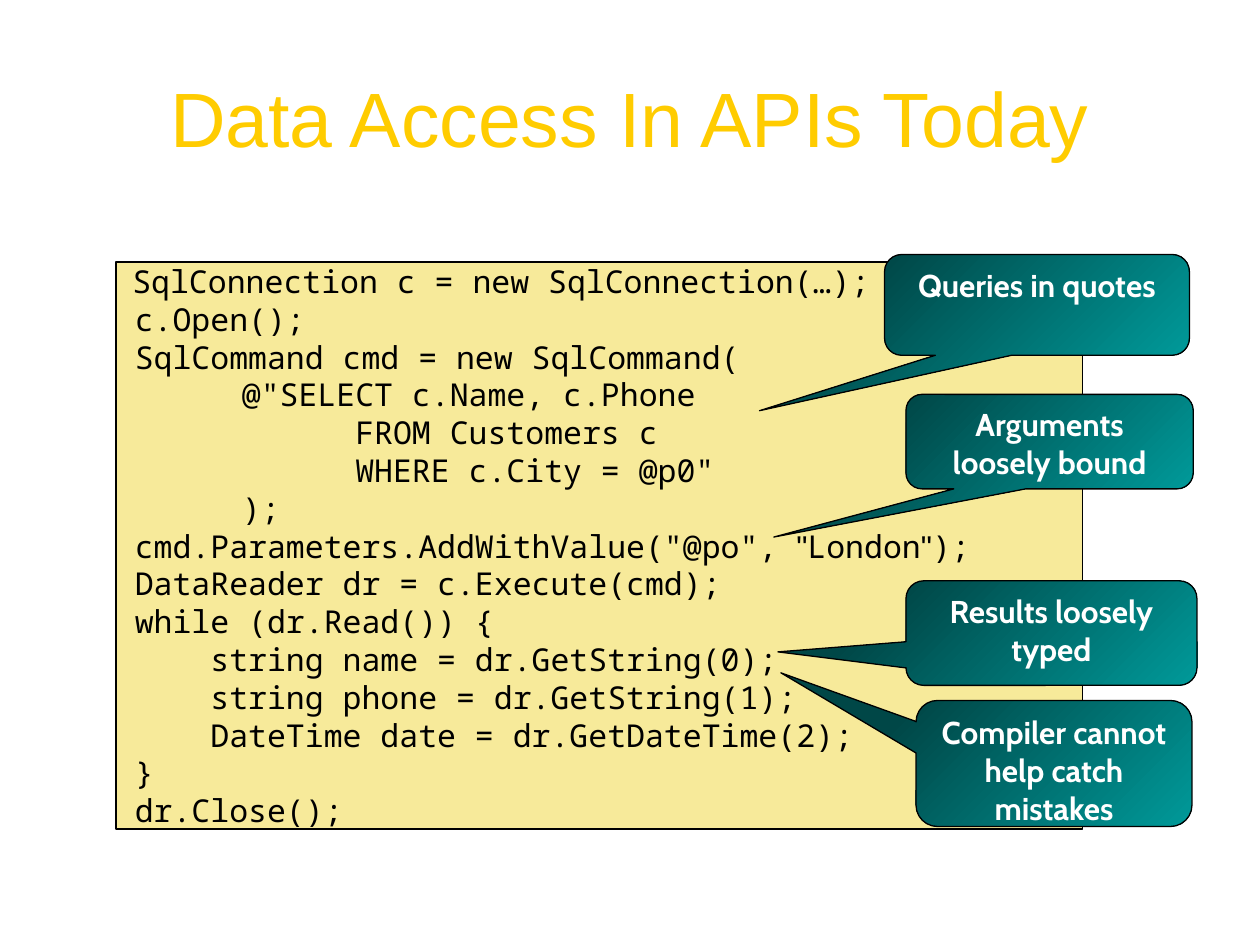
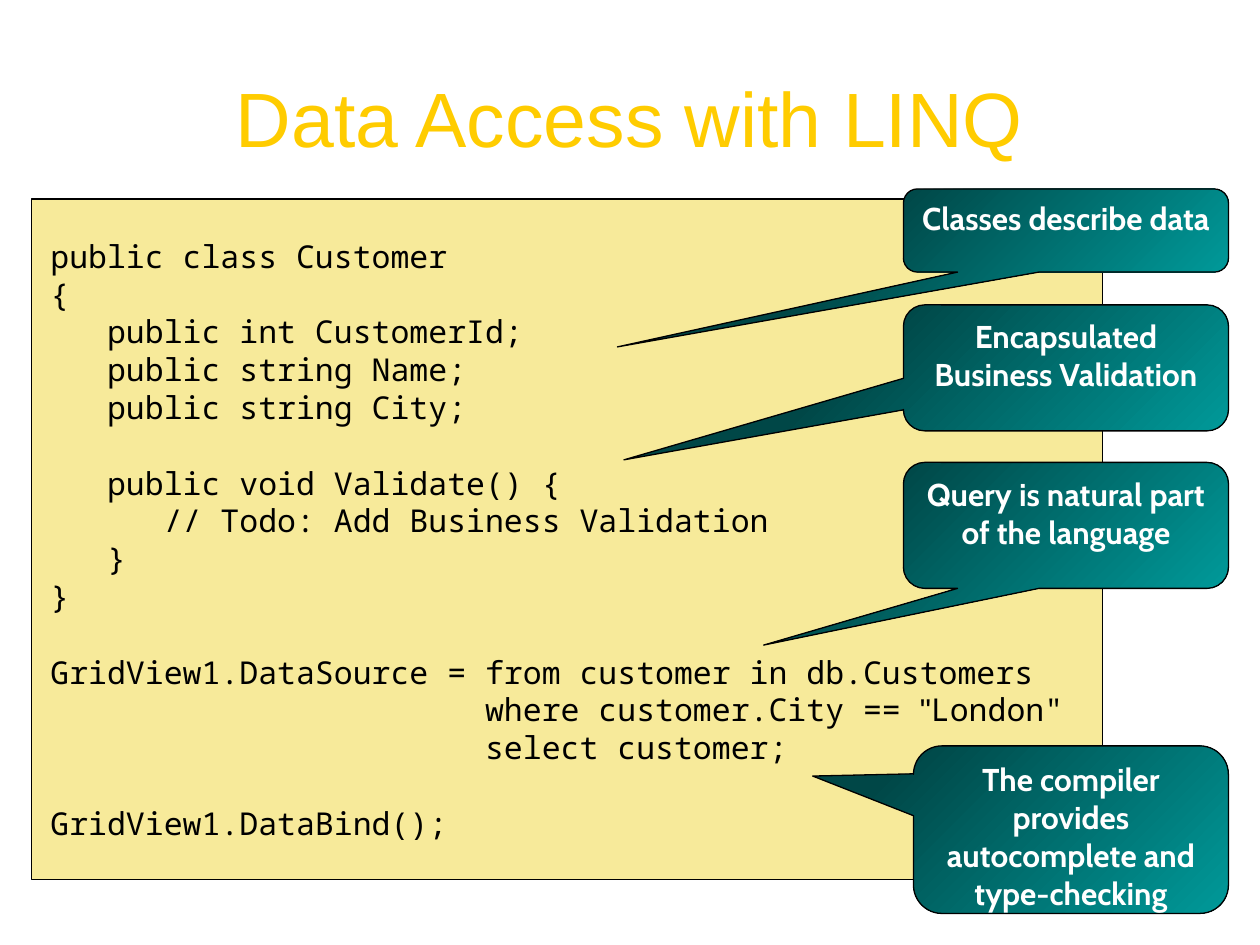
from lxml.etree import SubElement
from pptx import Presentation
from pptx.dml.color import RGBColor
from pptx.enum.shapes import MSO_SHAPE
from pptx.enum.text import MSO_ANCHOR, PP_ALIGN
from pptx.oxml.ns import qn
from pptx.util import Inches, Pt

GOLD = RGBColor(0xFF, 0xCC, 0x00)
CREAM = RGBColor(0xF7, 0xE9, 0x93)
DEEP = RGBColor(0x00, 0x47, 0x47)
TEAL = RGBColor(0x00, 0x99, 0x99)
BLACK = RGBColor(0, 0, 0)
WHITE = RGBColor(0xFF, 0xFF, 0xFF)

CODE, QUOTE, NOTE = "Noto Sans Mono", "Arial", "Cabin"
SIZE = 18
COL = 0.15
ROW = 0.3
TAB = 1 / COL

SLIDES = [
    dict(
        title="Data Access In APIs Today",
        panel=(0.92, 2.08, 7.67, 4.5),
        code=[
            (0, 0.87, "SqlConnection c = new SqlConnection(…);"),
            (0, 1, "c.Open();"),
            (0, 1, "SqlCommand cmd = new SqlCommand("),
            (0, TAB, '@"SELECT c.Name, c.Phone'),
            (0, TAB + 6, "FROM Customers c"),
            (0, TAB + 6, 'WHERE c.City = @p0"'),
            (0, TAB, ");"),
            (0, 1, 'cmd.Parameters.AddWithValue("@po", |"|London|"|);'),
            (0, 1, "DataReader dr = c.Execute(cmd);"),
            (0, 1, "while (dr.Read()) {"),
            (0, 5, "string name = dr.GetString(0);"),
            (0, 5, "string phone = dr.GetString(1);"),
            (0, 5, "DateTime date = dr.GetDateTime(2);"),
            (0, 1, "}"),
            (0, 1, "dr.Close();"),
        ],
        notes=[
            ("Queries in quotes", (7.02, 2.02, 2.42, 0.8), (-0.91, 1.05)),
            ("Arguments loosely bound", (7.19, 3.13, 2.28, 0.75), (-0.96, 1.01)),
            ("Results loosely typed", (7.19, 4.61, 2.31, 0.83), (-0.94, 0.18)),
            ("Compiler cannot help catch mistakes", (7.27, 5.56, 2.19, 1), (-0.99, -0.72)),
        ],
    ),
    dict(
        title="Data Access with LINQ",
        panel=(0.25, 1.58, 8.5, 5.4),
        code=[
            (1, 1, "public class Customer"),
            (0, 1, "{"),
            (0, 4, "public int CustomerId;"),
            (0, 4, "public string Name;"),
            (0, 4, "public string City;"),
            (1, 4, "public void Validate() {"),
            (0, 7, "// Todo: Add Business Validation"),
            (0, 4, "}"),
            (0, 1, "}"),
            (1, 1, "GridView1.DataSource = from customer in db.Customers"),
            (0, 24, 'where customer.City == |"|London"'),
            (0, 24, "select customer;"),
            (1, 1, "GridView1.DataBind();"),
        ],
        notes=[
            ("Classes describe data", (7.17, 1.5, 2.58, 0.66), (-1.38, 1.4)),
            ("Encapsulated Business Validation", (7.17, 2.42, 2.58, 1), (-1.36, 0.73)),
            ("Query is natural part of the language", (7.17, 3.67, 2.58, 1), (-0.93, 0.95)),
            ("The compiler provides autocomplete and type-checking", (7.25, 5.92, 2.5, 1.33), (-0.82, -0.32)),
        ],
    ),
]


def style(run, font, color, size=SIZE, bold=False):
    run.font.name, run.font.size, run.font.bold = font, Pt(size), bold
    run.font.color.rgb = color


def add_box(slide, kind, area):
    box = slide.shapes.add_shape(kind, *map(Inches, area))
    box.shadow.inherit = False
    box.line.color.rgb = BLACK
    box.line.width = Pt(0.75)
    box.text_frame.word_wrap = True
    box.text_frame.vertical_anchor = MSO_ANCHOR.TOP
    return box


def add_title(slide, text):
    frame = slide.shapes.add_textbox(*map(Inches, (0.5, 0.3, 9, 1.25))).text_frame
    frame.word_wrap = True
    frame.vertical_anchor = MSO_ANCHOR.MIDDLE
    frame.text = text
    para = frame.paragraphs[0]
    para.alignment = PP_ALIGN.CENTER
    run = para.runs[0]
    style(run, "Arial", GOLD, 44)
    glow = run.font.fill._xPr
    effect = glow.makeelement(qn("a:effectLst"))
    glow.find(qn("a:solidFill")).addnext(effect)
    shade = SubElement(effect, qn("a:outerShdw"), dist="38100", dir="2700000", algn="tl")
    SubElement(shade, qn("a:srgbClr"), val="000000")


def add_code(slide, area, lines):
    box = add_box(slide, MSO_SHAPE.RECTANGLE, area)
    box.fill.solid()
    box.fill.fore_color.rgb = CREAM
    color = box._element.spPr.find(qn("a:solidFill"))[0]
    SubElement(color, qn("a:alpha"), val="93000")
    frame = box.text_frame
    frame.margin_left = frame.margin_right = frame.margin_bottom = 0
    frame.margin_top = Inches(lines[0][0] * ROW)
    for i, (skip, indent, text) in enumerate(lines):
        para = frame.add_paragraph() if i else frame.paragraphs[0]
        para.alignment = PP_ALIGN.LEFT
        para.space_before = Inches(skip * ROW if i else 0)
        para._p.get_or_add_pPr().set("marL", str(Inches(indent * COL)))
        for n, part in enumerate(text.split("|")):
            run = para.add_run()
            run.text = part
            style(run, QUOTE if n % 2 else CODE, BLACK)


def add_note(slide, text, area, tip):
    box = add_box(slide, MSO_SHAPE.ROUNDED_RECTANGULAR_CALLOUT, area)
    for i, value in enumerate((*tip, 0.17)):
        box.adjustments[i] = value
    box.fill.gradient()
    box.fill.gradient_angle = 315
    for stop, color in zip(box.fill.gradient_stops, (DEEP, TEAL)):
        stop.color.rgb = color
    box.text_frame.text = text
    para = box.text_frame.paragraphs[0]
    para.alignment = PP_ALIGN.CENTER
    style(para.runs[0], NOTE, WHITE, bold=True)


def main():
    deck = Presentation()
    deck.slide_width, deck.slide_height = Inches(10), Inches(7.5)
    for page in SLIDES:
        slide = deck.slides.add_slide(deck.slide_layouts[6])
        add_title(slide, page["title"])
        add_code(slide, page["panel"], page["code"])
        for note in page["notes"]:
            add_note(slide, *note)
    deck.save("out.pptx")


if __name__ == "__main__":
    main()
